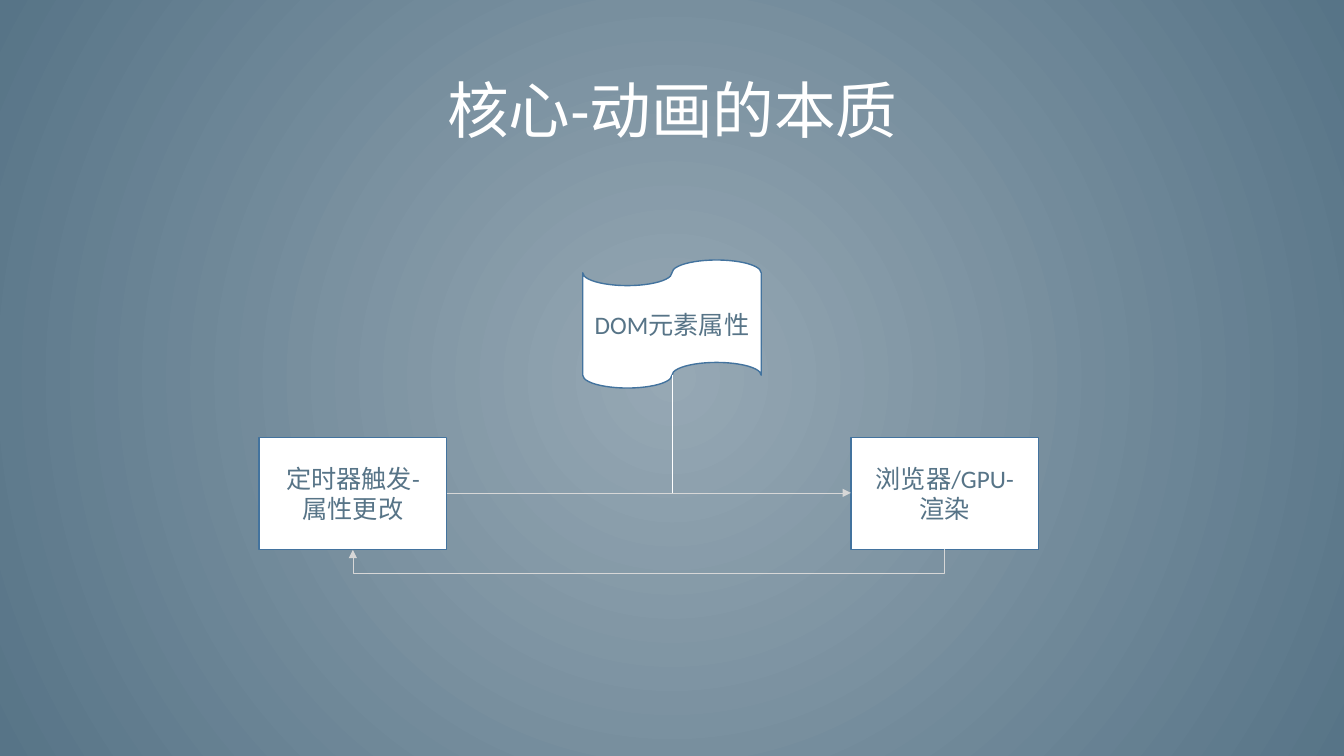
from lxml import etree
from pptx import Presentation
from pptx.dml.color import RGBColor
from pptx.enum.shapes import MSO_CONNECTOR, MSO_SHAPE
from pptx.enum.text import MSO_ANCHOR, PP_ALIGN
from pptx.oxml.ns import qn
from pptx.util import Inches, Pt

TAPE, PROCESS = MSO_SHAPE.FLOWCHART_PUNCHED_TAPE, MSO_SHAPE.FLOWCHART_PROCESS
STRAIGHT, ELBOW = MSO_CONNECTOR.STRAIGHT, MSO_CONNECTOR.ELBOW
MIDDLE, CENTER = MSO_ANCHOR.MIDDLE, PP_ALIGN.CENTER
COLORS = {"white": "FFFFFF", "slate": "577487", "mist": "96A8B4",
          "border": "43739E", "arrow": "D7D7D7"}


def rgb(name):
    return RGBColor.from_string(COLORS[name])


class FlowSlide:
    font = "Calibri"

    def __init__(self, slide):
        self.slide = slide

    def radial_background(self, inner, outer):
        fill = self.slide.background.fill
        fill.gradient()
        for stop, color in zip(fill.gradient_stops, (inner, outer)):
            stop.color.rgb = rgb(color)
        gradient = self.slide.element.find(".//" + qn("a:gradFill"))
        for position, stop in zip((0, 100000), gradient.iter(qn("a:gs"))):
            stop.set("pos", str(position))
        linear = gradient.find(qn("a:lin"))
        radial = etree.Element(qn("a:path"), {"path": "circle"})
        etree.SubElement(radial, qn("a:fillToRect"),
                         dict.fromkeys("ltrb", "50000"))
        gradient.replace(linear, radial)

    def set_text(self, frame, text, size, color, spacing=1.0):
        frame.text = text
        frame.word_wrap = True
        frame.vertical_anchor = MIDDLE
        for paragraph in frame.paragraphs:
            paragraph.alignment = CENTER
            paragraph.line_spacing = spacing
            for run in paragraph.runs:
                run.font.name = self.font
                run.font.size = Pt(size)
                run.font.color.rgb = rgb(color)

    def title(self, text, *box):
        heading = self.slide.shapes.add_textbox(*map(Inches, box))
        self.set_text(heading.text_frame, text, 44, "white", 0.9)

    def node(self, kind, text, *box):
        node = self.slide.shapes.add_shape(kind, *map(Inches, box))
        node.shadow.inherit = False
        node.fill.solid()
        node.fill.fore_color.rgb = rgb("white")
        node.line.color.rgb = rgb("border")
        node.line.width = Pt(1)
        self.set_text(node.text_frame, text, 18, "slate")

    def link(self, kind, start, end, color, arrow=False):
        link = self.slide.shapes.add_connector(
            kind, *map(Inches, (*start, *end)))
        link.line.color.rgb = rgb(color)
        link.line.width = Pt(0.5)
        properties = link._element.spPr
        if arrow:
            etree.SubElement(properties.find(qn("a:ln")), qn("a:tailEnd"),
                             type="triangle")
        etree.SubElement(properties, qn("a:effectLst"))
        return link

    def return_loop(self, right, left, base, depth):
        """Arrow that leaves downwards at right and comes back up at left."""
        middle, half, rise = (left + right) / 2, (right - left) / 2, 0.01
        loop = self.link(ELBOW, (middle - rise / 2, base - half),
                         (middle + rise / 2, base + half), "arrow", True)
        properties = loop._element.spPr
        properties.find(qn("a:xfrm")).set("rot", "5400000")
        adjustments = properties.find(".//" + qn("a:avLst"))
        etree.SubElement(adjustments, qn("a:gd"), name="adj1",
                         fmla=f"val {round(depth / rise * 100000)}")


def main():
    deck = Presentation()
    deck.slide_width, deck.slide_height = Inches(13.33), Inches(7.5)
    flow = FlowSlide(deck.slides.add_slide(deck.slide_layouts[6]))
    flow.radial_background("mist", "slate")
    flow.title("核心-动画的本质", 0.92, 0.4, 11.5, 1.45)

    timer_left, browser_left, top, width, height = 2.57, 8.44, 4.34, 1.86, 1.11
    axis, center = 4.89, 6.67
    flow.node(TAPE, "DOM元素属性", 5.78, 2.58, 1.77, 1.27)
    for left, text in ((timer_left, "定时器触发-\n属性更改"),
                       (browser_left, "浏览器/GPU-\n渲染")):
        flow.node(PROCESS, text, left, top, width, height)

    flow.link(STRAIGHT, (timer_left + width, axis), (browser_left, axis),
              "arrow", True)
    flow.link(STRAIGHT, (center, 3.72), (center, axis), "white")
    flow.return_loop(browser_left + width / 2, timer_left + width / 2,
                     top + height, 0.25)
    deck.save("out.pptx")


if __name__ == "__main__":
    main()
